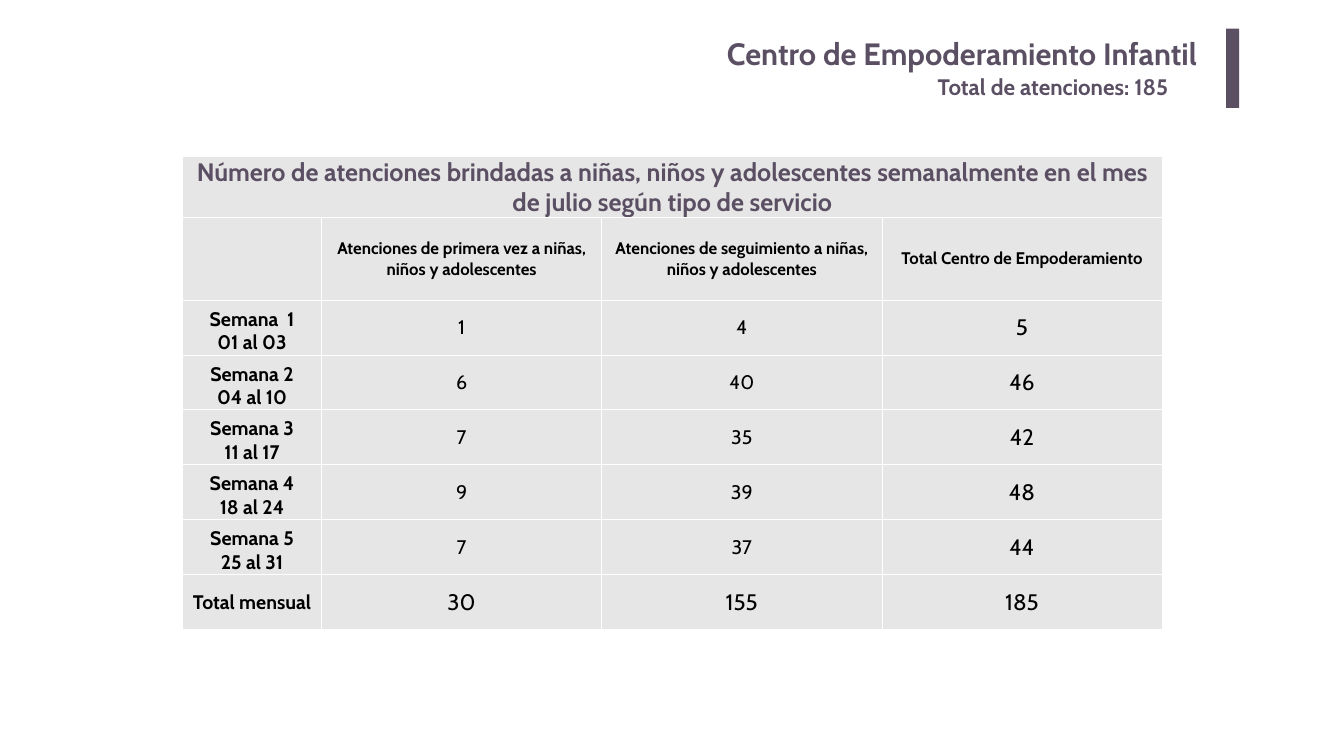
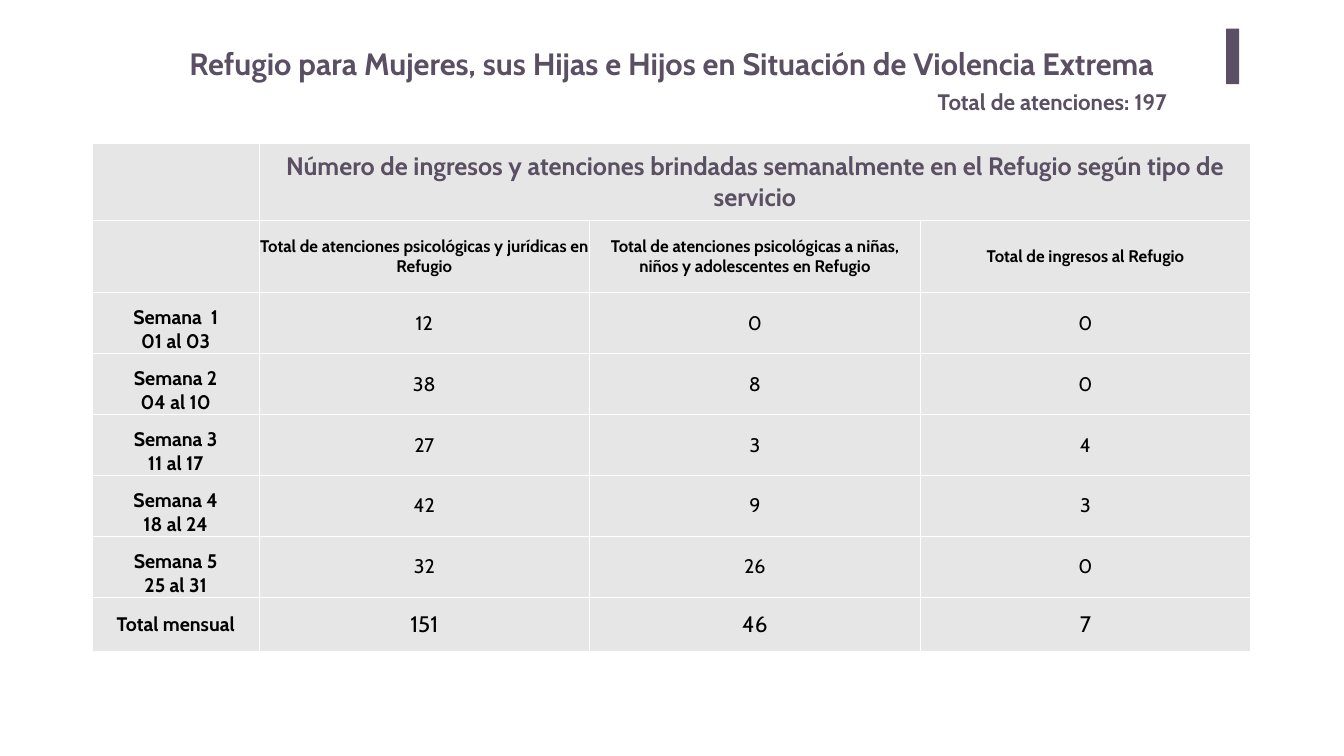
from lxml.etree import fromstring
from pptx import Presentation
from pptx.dml.color import RGBColor
from pptx.enum.shapes import MSO_SHAPE
from pptx.enum.text import MSO_ANCHOR, MSO_AUTO_SIZE, PP_ALIGN
from pptx.oxml.ns import nsdecls
from pptx.util import Inches, Pt

PURPLE = RGBColor(0x5B, 0x4F, 0x63)
GRAY = RGBColor(0xE7, 0xE6, 0xE6)
BLACK = RGBColor(0x00, 0x00, 0x00)
WHITE = RGBColor(0xFF, 0xFF, 0xFF)
FONT = "Cabin"
WEEKS = ["Semana  1\n01 al 03", "Semana 2\n04 al 10", "Semana 3\n11 al 17",
         "Semana 4\n18 al 24", "Semana 5\n25 al 31"]


def write(paragraph, text, size, color, bold=True):
    paragraph.text = text
    for run in paragraph.runs:
        run.font.name = FONT
        run.font.size = Pt(size)
        run.font.bold = bold
        run.font.color.rgb = color


def add_heading(slide, box, text, size, align=PP_ALIGN.LEFT, inset=0.1, grow=True):
    heading = slide.shapes.add_textbox(*map(Inches, box))
    frame = heading.text_frame
    frame.word_wrap = True
    frame.auto_size = MSO_AUTO_SIZE.SHAPE_TO_FIT_TEXT if grow else MSO_AUTO_SIZE.NONE
    frame.margin_left = frame.margin_right = Inches(inset)
    frame.margin_top = frame.margin_bottom = Inches(inset / 2)
    frame.paragraphs[0].alignment = align
    write(frame.paragraphs[0], text, size, PURPLE)


def add_accent_bar(slide, height):
    bar = slide.shapes.add_shape(MSO_SHAPE.RECTANGLE, Inches(24.33), Inches(0.57),
                                 Inches(0.26), Inches(height))
    bar.shadow.inherit = False
    bar.fill.solid()
    bar.fill.fore_color.rgb = PURPLE
    bar.line.fill.background()


def add_total(slide, top, total):
    add_heading(slide, (18.51, top, 5.51, 0.64), f"Total de atenciones: {total}", 32)


def style_cell(cell):
    cell.fill.solid()
    cell.fill.fore_color.rgb = GRAY
    cell.vertical_anchor = MSO_ANCHOR.MIDDLE
    cell.margin_left = cell.margin_right = cell.margin_top = Inches(0.01)
    cell.margin_bottom = 0
    properties = cell._tc.get_or_add_tcPr()
    for position, side in enumerate(("lnL", "lnR", "lnT", "lnB")):
        properties.insert(position, fromstring(
            f'<a:{side} {nsdecls("a")} w="12700"><a:solidFill>'
            f'<a:srgbClr val="{WHITE}"/></a:solidFill></a:{side}>'))


def fill_cell(cell, text, size, color=BLACK, bold=True):
    paragraph = cell.text_frame.paragraphs[0]
    paragraph.alignment = PP_ALIGN.CENTER
    write(paragraph, text, size, color, bold)


def add_weekly_table(slide, box, widths, heights, caption, caption_column,
                     services, counts, totals, last_column_size):
    grid = slide.shapes.add_table(len(heights), len(widths), *map(Inches, box)).table
    grid.first_row = grid.horz_banding = False
    for column, width in zip(grid.columns, widths):
        column.width = Inches(width)
    for row, height in zip(grid.rows, heights):
        row.height = Inches(height)
    for cell in grid.iter_cells():
        style_cell(cell)

    grid.cell(0, caption_column).merge(grid.cell(0, len(widths) - 1))
    fill_cell(grid.cell(0, caption_column), caption, 36, PURPLE)
    for column, service in enumerate(services, 1):
        fill_cell(grid.cell(1, column), service, 24)

    for row, (week, values) in enumerate(zip(WEEKS, counts), 2):
        fill_cell(grid.cell(row, 0), week, 28)
        grid.cell(row, 0).vertical_anchor = MSO_ANCHOR.BOTTOM
        for column, value in enumerate(values, 1):
            size = last_column_size if column == len(values) else 28
            fill_cell(grid.cell(row, column), str(value), size, bold=False)

    total_row = len(heights) - 1
    fill_cell(grid.cell(total_row, 0), "Total mensual", 28)
    for column, value in enumerate(totals, 1):
        fill_cell(grid.cell(total_row, column), str(value), 32, bold=False)


def build_empowerment_center(slide):
    add_heading(slide, (3.66, 0.58, 20.3, 1.02), "Centro de Empoderamiento Infantil",
                44, PP_ALIGN.RIGHT, inset=0.2, grow=False)
    add_accent_bar(slide, 1.57)
    add_total(slide, 1.41, 185)
    add_weekly_table(
        slide, (3.62, 3.1, 19.44, 9.4), [2.76] + [5.56] * 3, [1.09, 1.64] + [1.09] * 6,
        "Número de atenciones brindadas a niñas, niños y adolescentes semanalmente "
        "en el mes de julio según tipo de servicio", 0,
        ["Atenciones de primera vez a niñas, niños y adolescentes",
         "Atenciones de seguimiento a niñas, niños y adolescentes",
         "Total Centro de Empoderamiento"],
        [(1, 4, 5), (6, 40, 46), (7, 35, 42), (9, 39, 48), (7, 37, 44)],
        (30, 155, 185), last_column_size=32)


def build_shelter(slide):
    add_accent_bar(slide, 1.1)
    add_total(slide, 1.69, 197)
    add_heading(slide, (3.66, 0.84, 20.73, 0.84),
                "Refugio para Mujeres, sus Hijas e Hijos en Situación de Violencia Extrema", 44)
    add_weekly_table(
        slide, (1.83, 2.84, 23, 10.05), [3.31] + [6.56] * 3,
        [1.54, 1.42] + [1.21] * 5 + [1.07],
        "Número de ingresos y atenciones brindadas semanalmente en el Refugio "
        "según tipo de servicio", 1,
        ["Total de atenciones psicológicas y jurídicas en Refugio",
         "Total de atenciones psicológicas a niñas, niños y adolescentes en Refugio",
         "Total de ingresos al Refugio"],
        [(12, 0, 0), (38, 8, 0), (27, 3, 4), (42, 9, 3), (32, 26, 0)],
        (151, 46, 7), last_column_size=28)


def main():
    deck = Presentation()
    deck.slide_width = Inches(26.67)
    deck.slide_height = Inches(15)
    for build in (build_empowerment_center, build_shelter):
        build(deck.slides.add_slide(deck.slide_layouts[6]))
    deck.save("out.pptx")


if __name__ == "__main__":
    main()
